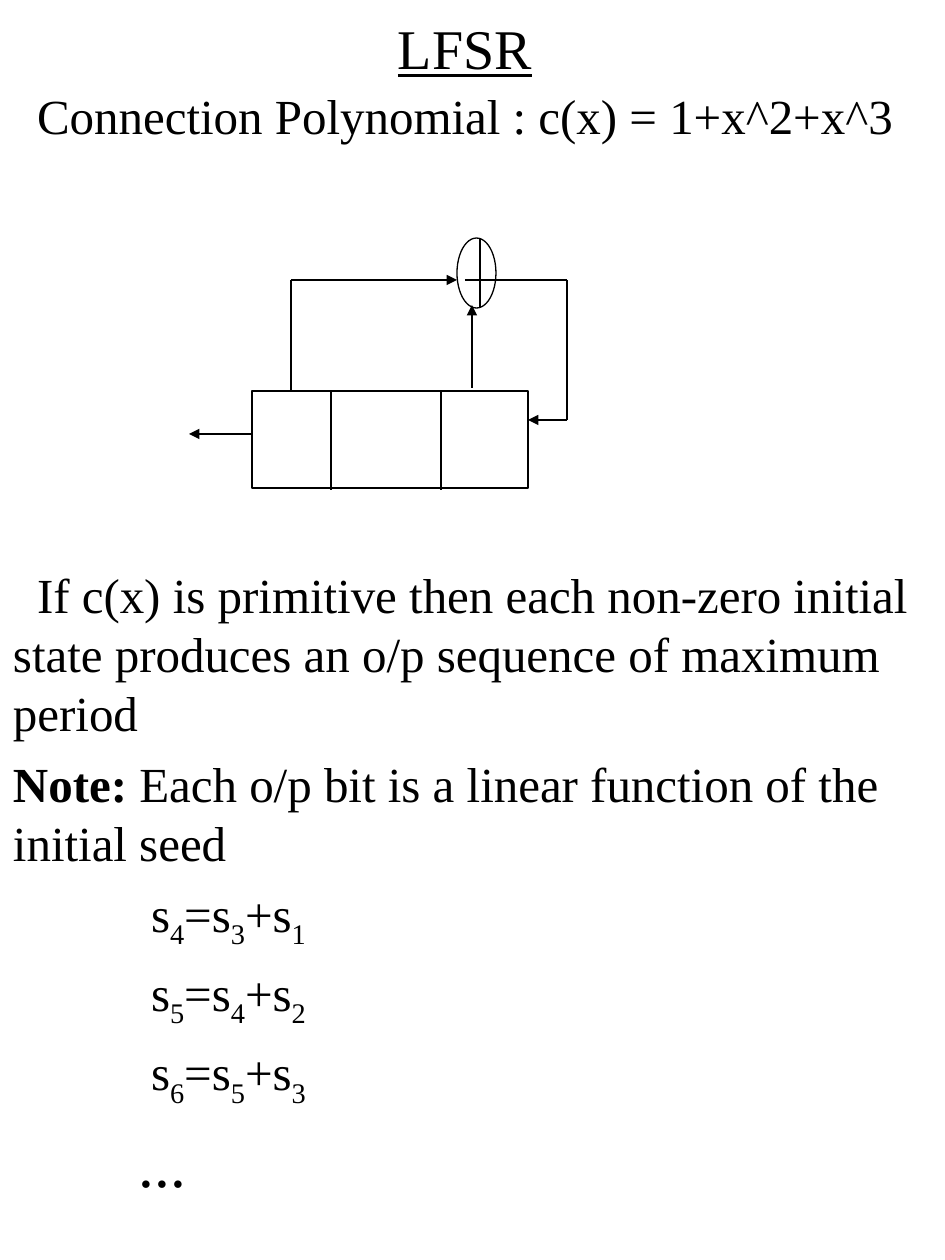
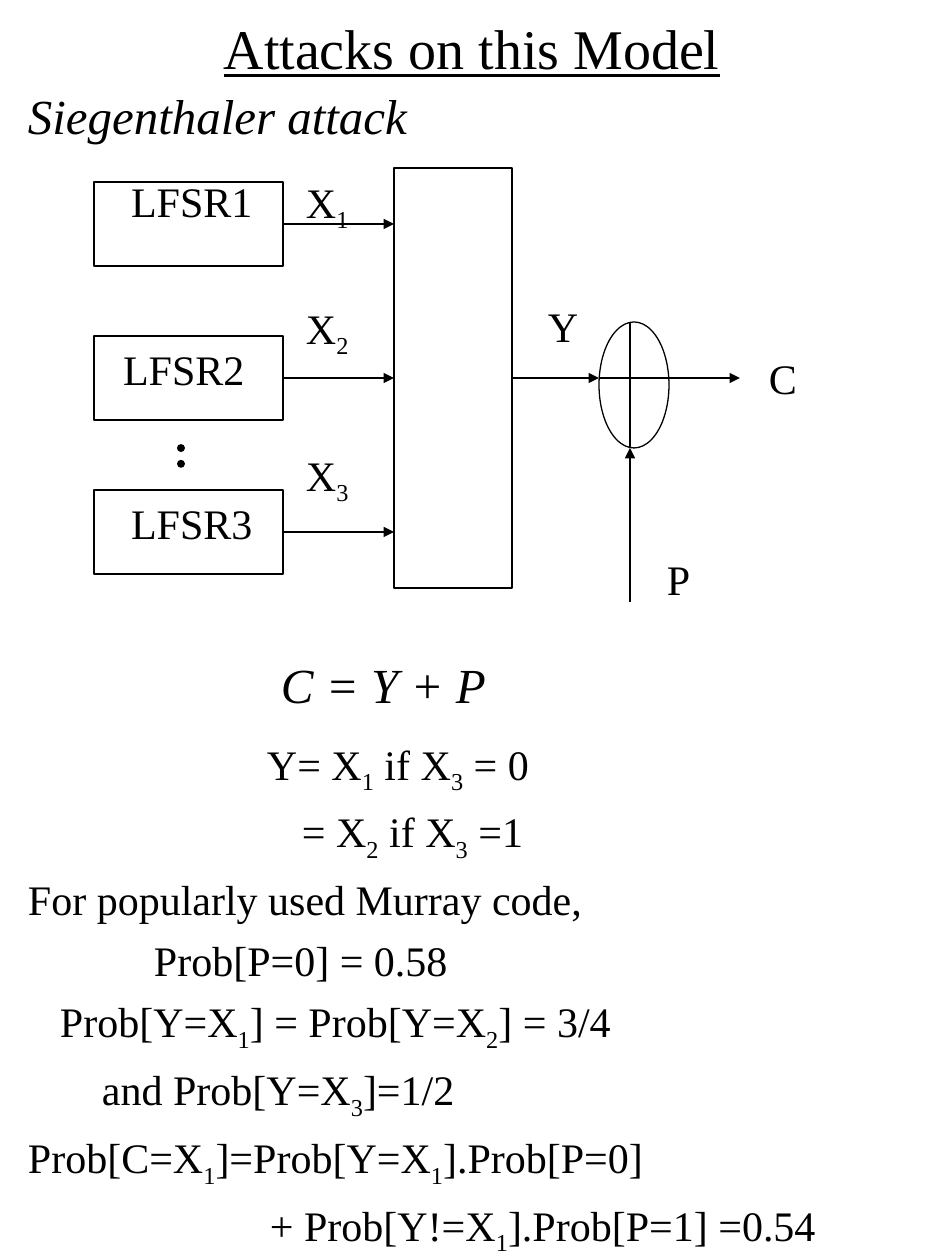
"""Builds two slides on LFSRs and the Siegenthaler attack."""
from itertools import pairwise

from lxml import etree
from pptx import Presentation
from pptx.dml.color import RGBColor
from pptx.enum.dml import MSO_LINE
from pptx.enum.shapes import MSO_CONNECTOR, MSO_SHAPE
from pptx.enum.text import MSO_ANCHOR, MSO_AUTO_SIZE, PP_ALIGN
from pptx.oxml.ns import qn
from pptx.util import Pt

BLACK = RGBColor(0, 0, 0)
WHITE = RGBColor(255, 255, 255)
FONT = "Times New Roman"
RECT, OVAL = MSO_SHAPE.RECTANGLE, MSO_SHAPE.OVAL
STRAIGHT = MSO_CONNECTOR.STRAIGHT
DOTS = MSO_LINE.ROUND_DOT
LEFT, CENTER = PP_ALIGN.LEFT, PP_ALIGN.CENTER
TOP = MSO_ANCHOR.TOP
NO_FIT = MSO_AUTO_SIZE.NONE
TITLE_ONLY = 5
WIDE, HIGH = 945, 1260


def emu(px):
    return round(px * 914400 / 126)


class Deck:
    def __init__(self):
        self.prs = Presentation()
        self.prs.slide_width, self.prs.slide_height = emu(WIDE), emu(HIGH)
        self.slide = None

    def start(self, title, x, wide):
        layout = self.prs.slide_layouts[TITLE_ONLY]
        self.slide = self.prs.slides.add_slide(layout)
        head = self.slide.shapes.title
        head.left, head.top, head.width, head.height = map(emu, (x, 13, wide, 65))
        head.text = title
        self.frame(head.text_frame)
        para = head.text_frame.paragraphs[0]
        self.style(para, 32, CENTER)
        para.font.underline = True

    def frame(self, frame):
        frame.word_wrap = True
        frame.auto_size = NO_FIT
        frame.vertical_anchor = TOP
        frame.margin_left = frame.margin_right = 0
        frame.margin_top = frame.margin_bottom = 0

    def style(self, para, size, align):
        para.alignment = align
        font = para.font
        font.name, font.size, font.color.rgb = FONT, Pt(size), BLACK

    def fill_text(self, para, text):
        """Write text, where | ends a bold lead and _ lowers one digit."""
        lead, bar, rest = text.rpartition("|")
        if bar:
            para.add_run().text = lead
            para.runs[0].font.bold = True
        first, *parts = rest.split("_")
        para.add_run().text = first
        for part in parts:
            sub = para.add_run()
            sub.text = part[0]
            sub.font._element.set("baseline", "-25000")
            if part[1:]:
                para.add_run().text = part[1:]

    def text(self, x, y, wide, high, lines, size=24, align=LEFT, italic=False):
        """Add lines given as (text, indent, first-line indent, size)."""
        box = self.slide.shapes.add_textbox(*map(emu, (x, y, wide, high)))
        self.frame(box.text_frame)
        for i, (line, indent, first, own) in enumerate(lines):
            paras = box.text_frame.paragraphs
            para = box.text_frame.add_paragraph() if i else paras[0]
            pts = own or size
            self.fill_text(para, line)
            self.style(para, pts, align)
            para.font.italic = italic
            para.line_spacing = Pt(pts * 1.2)
            if i:
                para.space_before = Pt(pts / 4 + (pts / 6 if "_" in line else 0))
            props = para._p.get_or_add_pPr()
            props.set("marL", str(emu(indent)))
            props.set("indent", str(emu(first)))

    def label(self, x, y, text, size=24, wide=130, **look):
        self.text(x, y, wide, round(size * 2.1), [(text, 0, 0, None)], size, **look)

    def shape(self, kind, x, y, wide, high, fill=None):
        item = self.slide.shapes.add_shape(kind, *map(emu, (x, y, wide, high)))
        item.shadow.inherit = False
        if fill is None:
            item.fill.background()
        else:
            item.fill.solid()
            item.fill.fore_color.rgb = fill
        item.line.color.rgb, item.line.width = BLACK, Pt(0.75)
        return item

    def line(self, start, end, arrow=False, width=0.75, src=None, dest=None):
        item = self.slide.shapes.add_connector(STRAIGHT, *map(emu, start + end))
        if src is not None:
            item.begin_connect(src, 3)
        if dest is not None:
            item.end_connect(dest, 1)
        item.line.color.rgb, item.line.width = BLACK, Pt(width)
        etree.SubElement(item._element.spPr, qn("a:effectLst"))
        if arrow:
            tail = etree.SubElement(item.line._get_or_add_ln(), qn("a:tailEnd"))
            tail.set("type", "triangle")
        return item

    def chain(self, *points):
        legs = list(pairwise(points))
        for leg in legs:
            self.line(*leg, arrow=leg is legs[-1])

    def dots(self, start, end):
        item = self.line(start, end, width=4.5)
        item.line.dash_style = DOTS
        item.line._get_or_add_ln().set("cap", "rnd")


def lfsr(deck):
    deck.start("LFSR", 0, 930)
    deck.label(13, 86, "Connection Polynomial : c(x) = 1+x^2+x^3", 28, 904,
               align=CENTER)
    deck.shape(RECT, 252, 391, 276, 97)
    for x in (331, 441):
        deck.line((x, 391), (x, 490))
    deck.shape(OVAL, 457, 238, 39, 70)
    deck.chain((291, 391), (291, 280), (457, 280))
    deck.chain((472, 388), (472, 305))
    deck.chain((496, 280), (567, 280), (567, 420), (528, 420))
    deck.chain((252, 434), (189, 434))
    deck.line((480, 238), (480, 307))
    deck.line((465, 280), (496, 280))
    sums = [f"s_{n}=s_{n - 1}+s_{n - 3}" for n in (4, 5, 6)]
    deck.text(13, 565, 904, 660, [
        ("If c(x) is primitive then each non-zero initial state produces "
         "an o/p sequence of maximum period", 0, 24, None),
        ("Note:| Each o/p bit is a linear function of the initial seed",
         0, 0, None),
        *((item, 138, 0, None) for item in sums),
        ("...", 126, 0, 36),
    ], 28)


def attack(deck):
    deck.start("Attacks on this Model", 15, 914)
    deck.label(28, 86, "Siegenthaler attack", 28, 880, italic=True)
    mixer = deck.shape(RECT, 394, 168, 118, 420, WHITE)
    names = ((131, 176), (123, 344), (131, 498))
    for i, (spot, x_top) in enumerate(zip(names, (183, 309, 456))):
        y = 182 + 154 * i
        box = deck.shape(RECT, 94, y, 189, 84, WHITE)
        deck.line((283, y + 42), (394, y + 42), True, src=box,
                  dest=mixer if i == 1 else None)
        deck.label(*spot, f"LFSR{i + 1}")
        deck.label(306, x_top, f"X_{i + 1}", wide=60)
    deck.dots((181, 448), (181, 476))
    deck.line((512, 378), (599, 378), True, src=mixer)
    deck.shape(OVAL, 599, 322, 70, 126, WHITE)
    deck.line((630, 602), (630, 448), True)
    deck.line((669, 378), (740, 378), True)
    deck.line((630, 322), (630, 447))
    deck.line((599, 378), (677, 378))
    for x, y, name in ((548, 301, "Y"), (667, 554, "P"), (769, 353, "C")):
        deck.label(x, y, name, wide=50)
    deck.label(281, 655, "C = Y + P", 28, 300, italic=True)
    steps = (
        ("Y= X_1 if X_3 = 0", 239),
        ("= X_2 if X_3 =1", 274),
        ("For popularly used Murray code,", 0),
        ("Prob[P=0] = 0.58", 126),
        ("Prob[Y=X_1] = Prob[Y=X_2] = 3/4", 32),
        ("and Prob[Y=X_3]=1/2", 74),
        ("Prob[C=X_1]=Prob[Y=X_1].Prob[P=0]", 0),
        ("+ Prob[Y!=X_1].Prob[P=1] =0.54", 242),
    )
    deck.text(28, 745, 889, 512, [(line, x, 0, None) for line, x in steps])


def main():
    deck = Deck()
    lfsr(deck)
    attack(deck)
    deck.prs.save("out.pptx")


if __name__ == "__main__":
    main()
